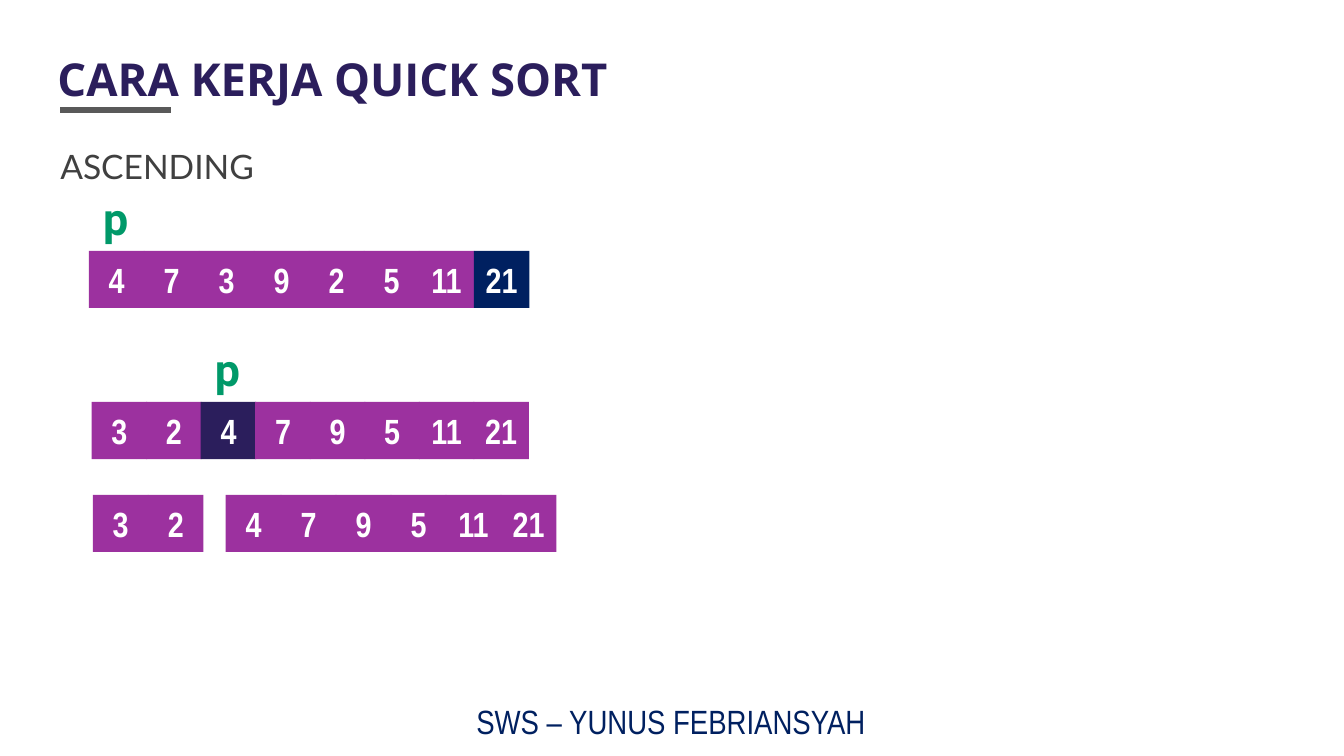
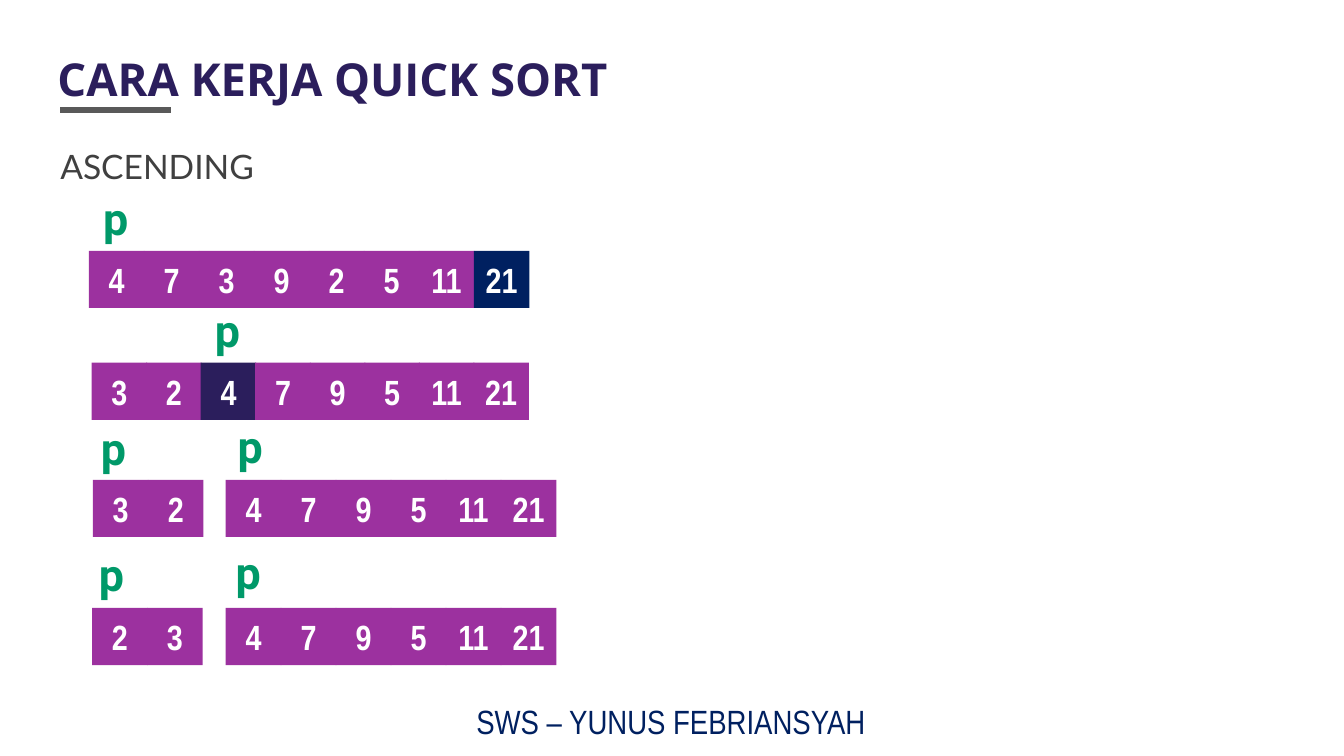
from dataclasses import dataclass

from lxml import etree
from pptx import Presentation
from pptx.dml.color import RGBColor
from pptx.enum.shapes import MSO_CONNECTOR as Connector, MSO_SHAPE as Preset
from pptx.enum.text import MSO_ANCHOR as Anchor, PP_ALIGN as Align
from pptx.oxml.ns import qn
from pptx.util import Cm, Pt


@dataclass(frozen=True)
class Theme:
    cell = "9C319F"
    pivot = "2B1E5C"
    navy = "002060"
    rule = "595959"
    # Text styles: font, size, bold, colour
    title = ("Open Sans", 32.4, True, "2B1E5C")
    subtitle = ("Lato", 24, False, "404040")
    number = ("Arial Narrow", 25, True, "FFFFFF")
    marker = ("Roboto", 32, True, "009969")
    footer = ("Arial Narrow", 24, False, "002060")


THEME = Theme()
CELL_WIDTH, CELL_HEIGHT = 1.4, 1.44
MARKER_WIDTH, MARKER_HEIGHT = 1.14, 1.63


@dataclass(frozen=True)
class Strip:
    left: float
    top: float
    width: float
    numbers: tuple
    accents: tuple = ()       # (cell index, fill) pairs
    marker: tuple = ()        # offset of "p" from the marked cell
    marked: int = 0


def set_all(target, values):
    for name, value in values.items():
        setattr(target, name, value)


def write(shape, text, style, align=Align.LEFT, anchor=Anchor.TOP,
          margins=(0.25, 0.13), line_spacing=None):
    """Put one styled paragraph into a shape."""
    side, end = (Cm(margin) for margin in margins)
    set_all(shape.text_frame, {
        "word_wrap": True, "vertical_anchor": anchor,
        "margin_left": side, "margin_right": side,
        "margin_top": end, "margin_bottom": end,
    })
    para = shape.text_frame.paragraphs[0]
    set_all(para, {"alignment": align, "line_spacing": line_spacing})
    span = para.add_run()
    span.text = text
    font, size, bold, colour = style
    set_all(span.font, {"name": font, "size": Pt(size), "bold": bold})
    span.font.color.rgb = RGBColor.from_string(colour)


def add_text(page, box, text, style, **layout):
    write(page.shapes.add_textbox(*map(Cm, box)), text, style, **layout)


def add_heading(page, left, top):
    """Title, short rule and subtitle."""
    add_text(page, (left, top, 28.78, 1.7), "CARA KERJA QUICK SORT", THEME.title,
             anchor=Anchor.MIDDLE, margins=(0.33, 0.18))
    start, level = left + 0.4, top + 1.65
    rule = page.shapes.add_connector(
        Connector.STRAIGHT, Cm(start), Cm(level), Cm(start + 2.8), Cm(level))
    rule.line.color.rgb = RGBColor.from_string(THEME.rule)
    rule.line.width = Pt(4.5)
    etree.SubElement(rule.element.spPr, qn("a:effectLst"))
    add_text(page, (start, top + 2.23, 20.9, 1.45), "ASCENDING", THEME.subtitle,
             margins=(0, 0.13), line_spacing=1.2)


def add_footer(page, left, top):
    add_text(page, (left, top, 10.8, 1.27), "SWS – YUNUS FEBRIANSYAH",
             THEME.footer, align=Align.CENTER)


def add_strip(page, strip):
    """Evenly spaced number cells, with an optional pivot marker above."""
    pitch = (strip.width - CELL_WIDTH) / (len(strip.numbers) - 1)
    fills = dict(strip.accents)
    for index, number in enumerate(strip.numbers):
        cell = page.shapes.add_shape(
            Preset.RECTANGLE, Cm(strip.left + index * pitch), Cm(strip.top),
            Cm(CELL_WIDTH), Cm(CELL_HEIGHT))
        cell.shadow.inherit = False
        cell.fill.solid()
        cell.fill.fore_color.rgb = RGBColor.from_string(fills.get(index, THEME.cell))
        cell.line.fill.background()
        write(cell, str(number), THEME.number, align=Align.CENTER,
              anchor=Anchor.MIDDLE, margins=(0, 0.13))
    if strip.marker:
        across, down = strip.marker
        add_text(page, (strip.left + strip.marked * pitch + across,
                        strip.top + down, MARKER_WIDTH, MARKER_HEIGHT),
                 "p", THEME.marker)


def start_strip(top):
    return Strip(2.24, top, 11.1, (4, 7, 3, 9, 2, 5, 11, 21),
                 accents=((7, THEME.navy),), marker=(0.11, -1.65))


def partition_strip(top):
    return Strip(2.31, top, 11.02, (3, 2, 4, 7, 9, 5, 11, 21),
                 accents=((2, THEME.pivot),), marker=(0.11, -1.65), marked=2)


def split_strips(top, small, left=2.34, markers=((), ())):
    """The two parts on either side of the pivot."""
    return (Strip(left, top, 2.79, small, marker=markers[0]),
            Strip(5.69, top, 8.33, (4, 7, 9, 5, 11, 21), marker=markers[1]))


def add_sort_page(deck, strips):
    page = deck.slides.add_slide(deck.slide_layouts[6])
    add_footer(page, 11.51, 17.53)
    add_heading(page, 1.12, 1.12)
    for strip in strips:
        add_strip(page, strip)


def main():
    deck = Presentation()
    set_all(deck, {"slide_width": Cm(33.87), "slide_height": Cm(19.05)})
    # First split
    add_sort_page(deck, (
        start_strip(6.32), partition_strip(10.13), *split_strips(12.47, (3, 2))))
    # Sorting the small part
    add_sort_page(deck, (
        start_strip(6.32), partition_strip(9.14),
        *split_strips(12.09, (3, 2), markers=((-0.05, -1.63), (0.05, -1.68))),
        *split_strips(15.32, (2, 3), left=2.32,
                      markers=((-0.08, -1.68), (0, -1.73)))))
    deck.save("out.pptx")


if __name__ == "__main__":
    main()
